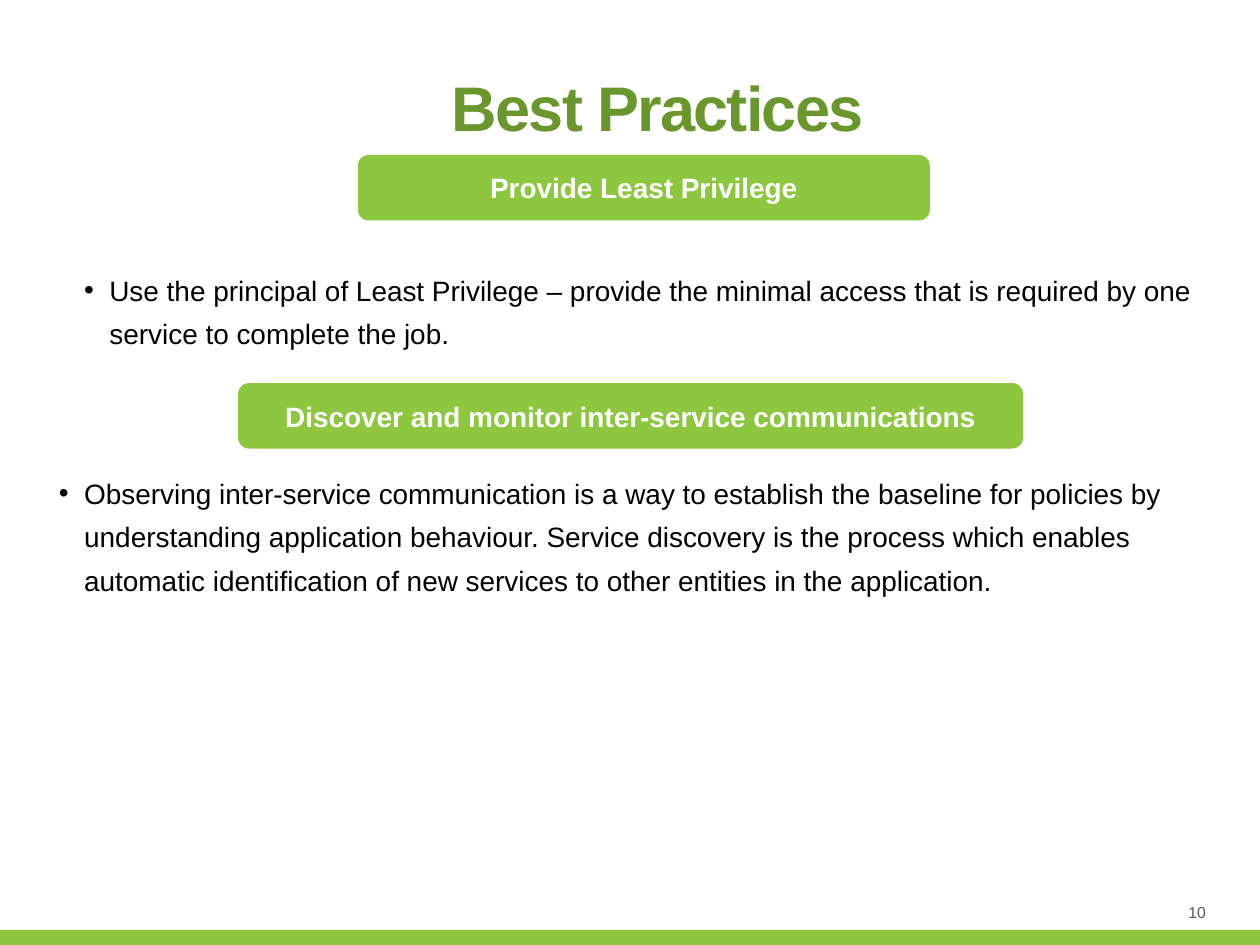
from lxml import etree
from pptx import Presentation
from pptx.dml.color import RGBColor
from pptx.enum.shapes import MSO_SHAPE
from pptx.enum.text import MSO_ANCHOR, PP_ALIGN
from pptx.oxml.ns import qn
from pptx.util import Inches, Pt

RECTANGLE = MSO_SHAPE.RECTANGLE
ROUNDED = MSO_SHAPE.ROUNDED_RECTANGLE
TOP, MIDDLE = MSO_ANCHOR.TOP, MSO_ANCHOR.MIDDLE
LEFT, CENTER, RIGHT = PP_ALIGN.LEFT, PP_ALIGN.CENTER, PP_ALIGN.RIGHT

FONT = "Arial"
COLORS = {
    "green": "8DC63F",
    "title": "6A972D",
    "white": "FFFFFF",
    "black": "000000",
    "gray": "595959",
}


class SlideBuilder:
    def __init__(self, page):
        self.page = page

    def color(self, name):
        return RGBColor.from_string(COLORS[name])

    def fill_text(self, box, text, size, color, align, anchor, bold=False):
        frame = box.text_frame
        frame.word_wrap = True
        frame.vertical_anchor = anchor
        frame.text = text
        para = frame.paragraphs[0]
        para.alignment = align
        span = para.runs[0]
        span.font.name = FONT
        span.font.size = Pt(size)
        span.font.bold = bold
        span.font.color.rgb = self.color(color)
        return para

    def set_margins(self, box, margin):
        frame = box.text_frame
        frame.margin_left = frame.margin_right = Inches(margin)
        frame.margin_top = frame.margin_bottom = Inches(margin)

    def text_box(self, left, top, width, height):
        return self.page.shapes.add_textbox(
            Inches(left), Inches(top), Inches(width), Inches(height))

    def filled_shape(self, kind, left, top, width, height):
        shape = self.page.shapes.add_shape(
            kind, Inches(left), Inches(top), Inches(width), Inches(height))
        shape.shadow.inherit = False
        shape.fill.solid()
        shape.fill.fore_color.rgb = self.color("green")
        shape.line.fill.background()
        return shape

    def footer(self, number):
        self.filled_shape(RECTANGLE, 0, 7.38, 10, 0.12)
        box = self.text_box(9.06, 7.14, 0.51, 0.2)
        self.set_margins(box, 0)
        self.fill_text(box, number, 9, "gray", RIGHT, MIDDLE)

    def title(self, text):
        box = self.text_box(1.37, 0.44, 7.7, 1.31)
        box.text_frame.margin_top = Inches(0.1)
        para = self.fill_text(box, text, 36, "title", CENTER, TOP, bold=True)
        para.runs[0]._r.get_or_add_rPr().set("spc", "-100")

    def heading(self, text, left, top, width):
        shape = self.filled_shape(ROUNDED, left, top, width, 0.52)
        self.set_margins(shape, 0.04)
        self.fill_text(shape, text, 16, "white", CENTER, MIDDLE, bold=True)

    def bullet(self, text, left, top, height):
        box = self.text_box(left, top, 9.14, height)
        para = self.fill_text(box, text, 16, "black", LEFT, TOP)
        para.line_spacing = 1.3
        properties = para._p.get_or_add_pPr()
        properties.set("marL", str(Inches(0.2)))
        properties.set("indent", str(Inches(-0.2)))
        etree.SubElement(properties, qn("a:buFont"), typeface=FONT)
        etree.SubElement(properties, qn("a:buChar"), char="•")


def main():
    deck = Presentation()
    deck.slide_width = Inches(10)
    deck.slide_height = Inches(7.5)
    builder = SlideBuilder(deck.slides.add_slide(deck.slide_layouts[6]))

    builder.footer("10")
    builder.title("Best Practices")
    builder.heading("Provide Least Privilege", 2.84, 1.23, 4.54)
    builder.bullet(
        "Use the principal of Least Privilege – provide the minimal access "
        "that is required by one service to complete the job.",
        0.57, 2.04, 0.66)
    builder.heading(
        "Discover and monitor inter-service communications", 1.89, 3.04, 6.23)
    builder.bullet(
        "Observing inter-service communication is a way to establish the "
        "baseline for policies by understanding application behaviour. "
        "Service discovery is the process which enables automatic "
        "identification of new services to other entities in the application.",
        0.37, 3.65, 1.56)

    deck.save("out.pptx")


if __name__ == "__main__":
    main()
